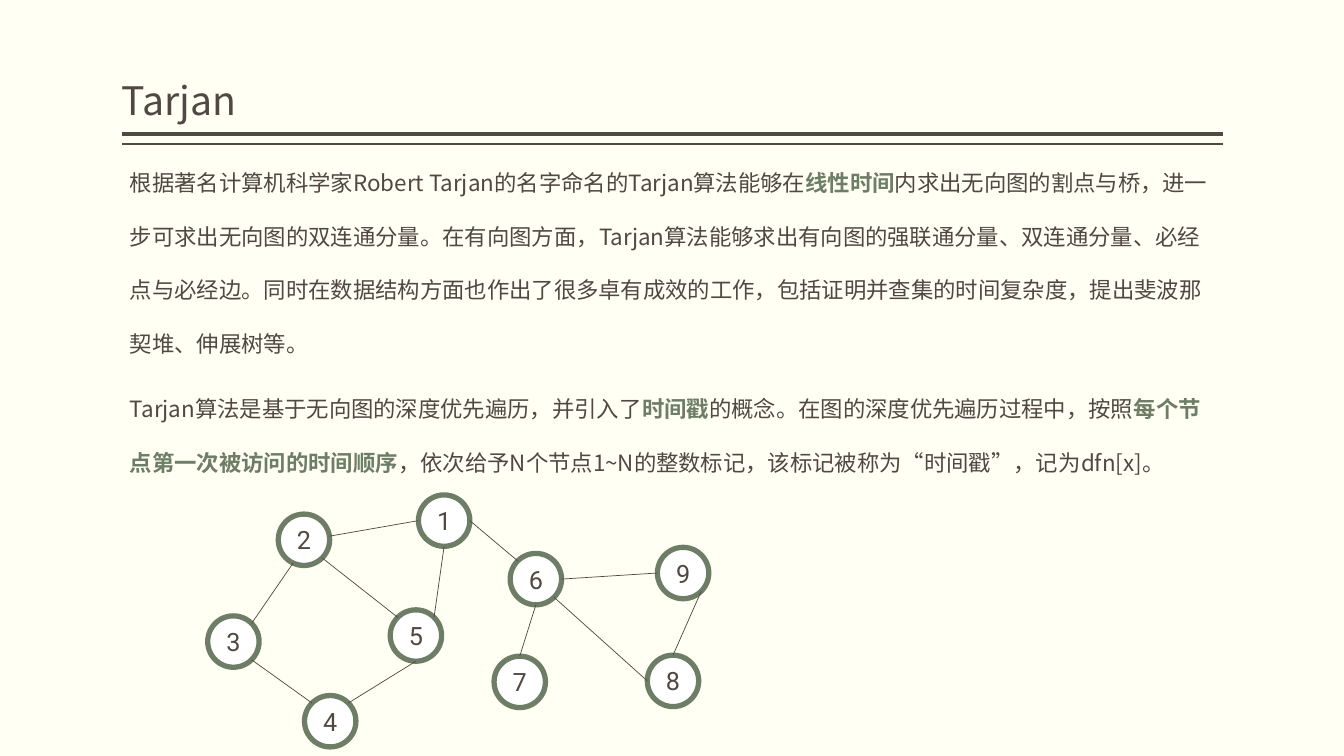
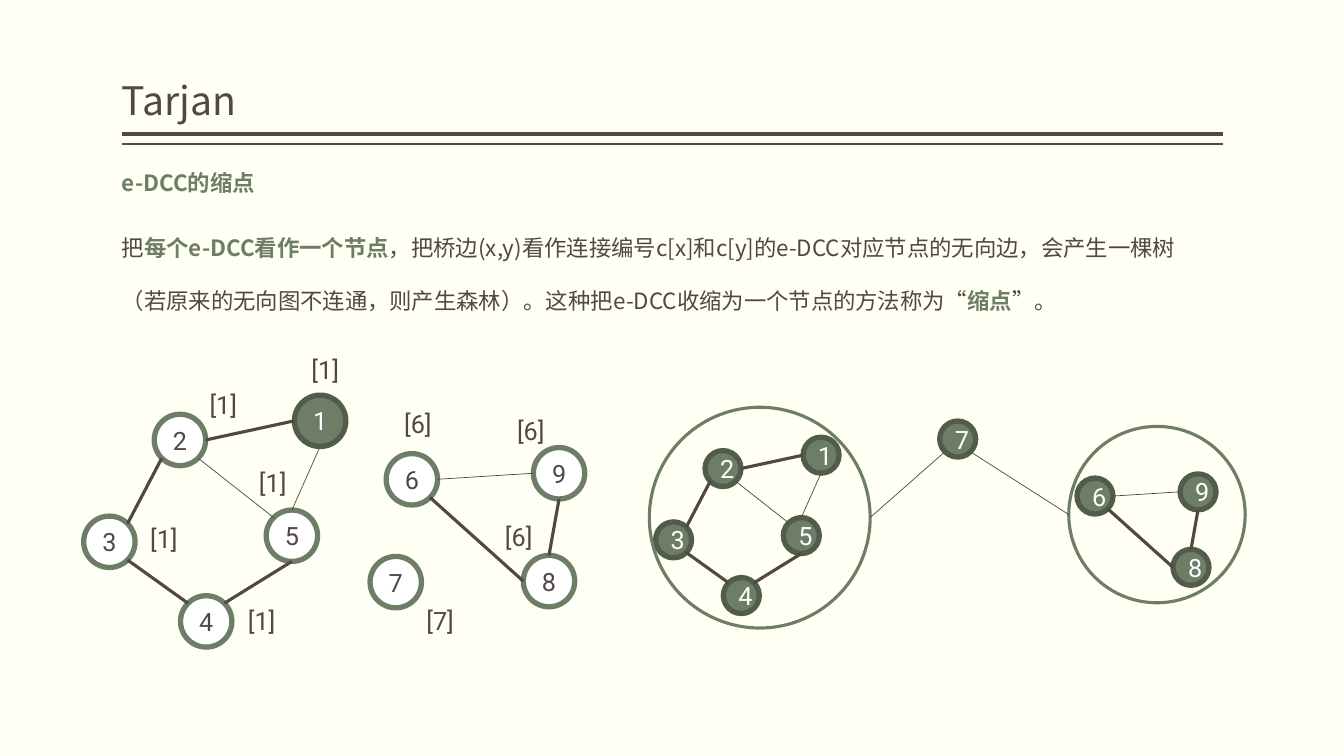
"""Build two slides on Tarjan's algorithm and on contracting e-DCCs."""
import math

import pptx
import pptx.dml.color
import pptx.enum.shapes
import pptx.enum.text
import pptx.oxml.ns
import pptx.util
from lxml import etree

Inches = pptx.util.Inches
Pt = pptx.util.Pt
qn = pptx.oxml.ns.qn
rgb = pptx.dml.color.RGBColor.from_string

PAPER, INK, GREEN, DARK_GREEN, WHITE = "FFFFF3", "514843", "6D7D66", "515C4B", "FFFFFF"
TEXT_FONT, NODE_FONT = "Noto Sans CJK SC", "Roboto"
LIGHT_NODE = (WHITE, GREEN, INK)
DARK_NODE = (GREEN, DARK_GREEN, WHITE)
NODE_SIZE = 0.51
THIN, THICK = 0.5, 2.25


def add_circle(slide, left, top, size, outline, width):
    circle = slide.shapes.add_shape(
        pptx.enum.shapes.MSO_SHAPE.OVAL, Inches(left), Inches(top), Inches(size), Inches(size))
    circle.shadow.inherit = False
    circle.fill.background()
    circle.line.color.rgb = rgb(outline)
    circle.line.width = Pt(width)
    return circle


def add_line(slide, ends, width):
    """Draw a line between two (x, y) points or two (circle, clockwise degrees) anchors."""
    points, joints = [], []
    for tag, (place, offset) in zip(("a:stCxn", "a:endCxn"), ends):
        if isinstance(place, (int, float)):
            points += [Inches(place), Inches(offset)]
            continue
        radius, angle = place.width / 2, math.radians(offset)
        points += [int(place.left + radius + radius * math.cos(angle)),
                   int(place.top + radius + radius * math.sin(angle))]
        if offset % 45 == 0:
            joints.append((tag, place.shape_id, (270 - offset) // 45 % 8))
    line = slide.shapes.add_connector(pptx.enum.shapes.MSO_CONNECTOR.STRAIGHT, *points)
    line.line.color.rgb = rgb(INK)
    line.line.width = Pt(width)
    etree.SubElement(line._element.spPr, qn("a:effectLst"))
    for tag, shape_id, site in joints:
        etree.SubElement(line._element.nvCxnSpPr.cNvCxnSpPr, qn(tag),
                         id=str(shape_id), idx=str(site))


prs = pptx.Presentation()
prs.slide_width, prs.slide_height = Inches(13.33), Inches(7.5)
prs.slide_master.background.fill.solid()
prs.slide_master.background.fill.fore_color.rgb = rgb(PAPER)

# Asterisks enclose the emphasised words.
pages = [
    (1.19, 3.39, [
        "根据著名计算机科学家Robert Tarjan的名字命名的Tarjan算法能够在*线性时间*内求出无向图的割点与桥，"
        "进一步可求出无向图的双连通分量。在有向图方面，Tarjan算法能够求出有向图的强联通分量、双连通分量、"
        "必经点与必经边。同时在数据结构方面也作出了很多卓有成效的工作，包括证明并查集的时间复杂度，"
        "提出斐波那契堆、伸展树等。",
        "Tarjan算法是基于无向图的深度优先遍历，并引入了*时间戳*的概念。在图的深度优先遍历过程中，"
        "按照*每个节点第一次被访问的时间顺序*，依次给予N个节点1~N的整数标记，"
        "该标记被称为“时间戳”，记为dfn[x]。",
    ]),
    (1.11, 1.77, [
        "*e-DCC的缩点*",
        "把*每个e-DCC看作一个节点*，把桥边(x,y)看作连接编号c[x]和c[y]的e-DCC对应节点的无向边，"
        "会产生一棵树（若原来的无向图不连通，则产生森林）。"
        "这种把e-DCC收缩为一个节点的方法称为“*缩点*”。",
    ]),
]

for body_left, body_height, body_texts in pages:
    slide = prs.slides.add_slide(prs.slide_layouts[6])
    for y, width in ((1.33, 3), (1.43, 1)):
        add_line(slide, ((12.13, y), (1.21, y)), width)

    heading = slide.shapes.add_textbox(
        Inches(1.21), Inches(0.08), Inches(10.92), Inches(1.2)).text_frame
    heading.word_wrap = True
    heading.vertical_anchor = pptx.enum.text.MSO_ANCHOR.BOTTOM
    heading.margin_left = heading.margin_right = 0
    title = heading.paragraphs[0]
    title.text = "Tarjan"
    title.line_spacing = 0.9
    title.font.size = Pt(28)
    title.font.name = TEXT_FONT
    title.font.color.rgb = rgb(INK)

    body = slide.shapes.add_textbox(
        Inches(body_left), Inches(1.36), Inches(10.92), Inches(body_height)).text_frame
    body.word_wrap = True
    for number, text in enumerate(body_texts):
        paragraph = body.add_paragraph() if number else body.paragraphs[0]
        paragraph.line_spacing = 2.0
        if number:
            paragraph.space_before = Pt(8)
        paragraph.font.size = Pt(16)
        paragraph.font.name = TEXT_FONT
        etree.SubElement(paragraph.font._element, qn("a:ea"), typeface=TEXT_FONT)
        for part, words in enumerate(text.split("*")):
            if words:
                run = paragraph.add_run()
                run.text = words
                run.font.bold = part % 2 == 1
                run.font.color.rgb = rgb(GREEN if part % 2 else INK)

timestamp_slide, contraction_slide = prs.slides

node_places = {
    1: (4.15, 4.91), 2: (2.76, 5.1), 3: (2.06, 6.11), 4: (3.02, 6.9), 5: (3.87, 6.05),
    6: (5.06, 5.49), 7: (4.9, 6.51), 8: (6.42, 6.5), 9: (6.52, 5.43),
}
component_edges = {
    (2, 3): (135, 315), (5, 4): (90, 315), (3, 4): (45, 225), (2, 5): (45, 225),
    (1, 2): (180, 0), (5, 1): (270, 90), (6, 9): (0, 180), (9, 8): (90, 270), (6, 8): (45, 180),
}
whole_edges = component_edges | {
    (2, 3): (115, 315), (1, 2): (180, -8), (5, 1): (315, 90), (9, 8): (45, 270),
    (1, 6): (0, 225), (7, 6): (270, 90),
}
search_tree = {(2, 3), (5, 4), (3, 4), (1, 2), (9, 8), (6, 8)}

graphs = [
    (timestamp_slide, range(1, 10), 0, 0, 1, whole_edges, set(), set()),
    (contraction_slide, range(1, 10), -1.23, -0.99, 1, component_edges, search_tree, {1}),
    (contraction_slide, range(1, 6), 5.06, 0.9, 0.7, component_edges, search_tree, {1, 2, 3, 4, 5}),
    (contraction_slide, (6, 8, 9), 7.14, 0.9, 0.7, component_edges, search_tree, {6, 8, 9}),
    (contraction_slide, (7,), 5.89, -0.38, 0.7, component_edges, search_tree, {7}),
]
for slide, labels, dx, dy, scale, edges, thick_edges, dark_labels in graphs:
    nodes = {}
    for label in labels:
        fill, outline, ink = DARK_NODE if label in dark_labels else LIGHT_NODE
        x, y = node_places[label]
        node = add_circle(slide, dx + scale * x, dy + scale * y, scale * NODE_SIZE, outline, 3.78)
        node.fill.solid()
        node.fill.fore_color.rgb = rgb(fill)
        digit = node.text_frame.paragraphs[0]
        digit.text = str(label)
        digit.alignment = pptx.enum.text.PP_ALIGN.CENTER
        digit.font.size = Pt(18)
        digit.font.name = NODE_FONT
        digit.font.color.rgb = rgb(ink)
        nodes[label] = node
    for (start, end), (start_angle, end_angle) in edges.items():
        if start in nodes and end in nodes:
            add_line(slide, ((nodes[start], start_angle), (nodes[end], end_angle)),
                     THICK if (start, end) in thick_edges else THIN)

bridge_node = nodes[7]
left_component = add_circle(contraction_slide, 6.44, 4.04, 2.19, GREEN, 2.25)
right_component = add_circle(contraction_slide, 10.6, 4.23, 1.75, GREEN, 2.25)
add_line(contraction_slide, ((left_component, 0), (bridge_node, 135)), THIN)
add_line(contraction_slide, ((bridge_node, 45), (right_component, 180)), THIN)

low_values = {
    "[1]": [(2.99, 3.47), (1.98, 3.81), (1.39, 5.14), (2.36, 5.96), (2.47, 4.59)],
    "[6]": [(3.91, 4), (5.03, 4.07), (4.91, 5.12)],
    "[7]": [(4.13, 5.96)],
}
for value, places in low_values.items():
    for left, top in places:
        tag_frame = contraction_slide.shapes.add_textbox(
            Inches(left), Inches(top), Inches(0.51), Inches(0.4)).text_frame
        tag_frame.word_wrap = True
        low_value = tag_frame.paragraphs[0]
        low_value.text = value
        low_value.font.size = Pt(18)
        low_value.font.name = NODE_FONT
        low_value.font.color.rgb = rgb(INK)

prs.save("out.pptx")
